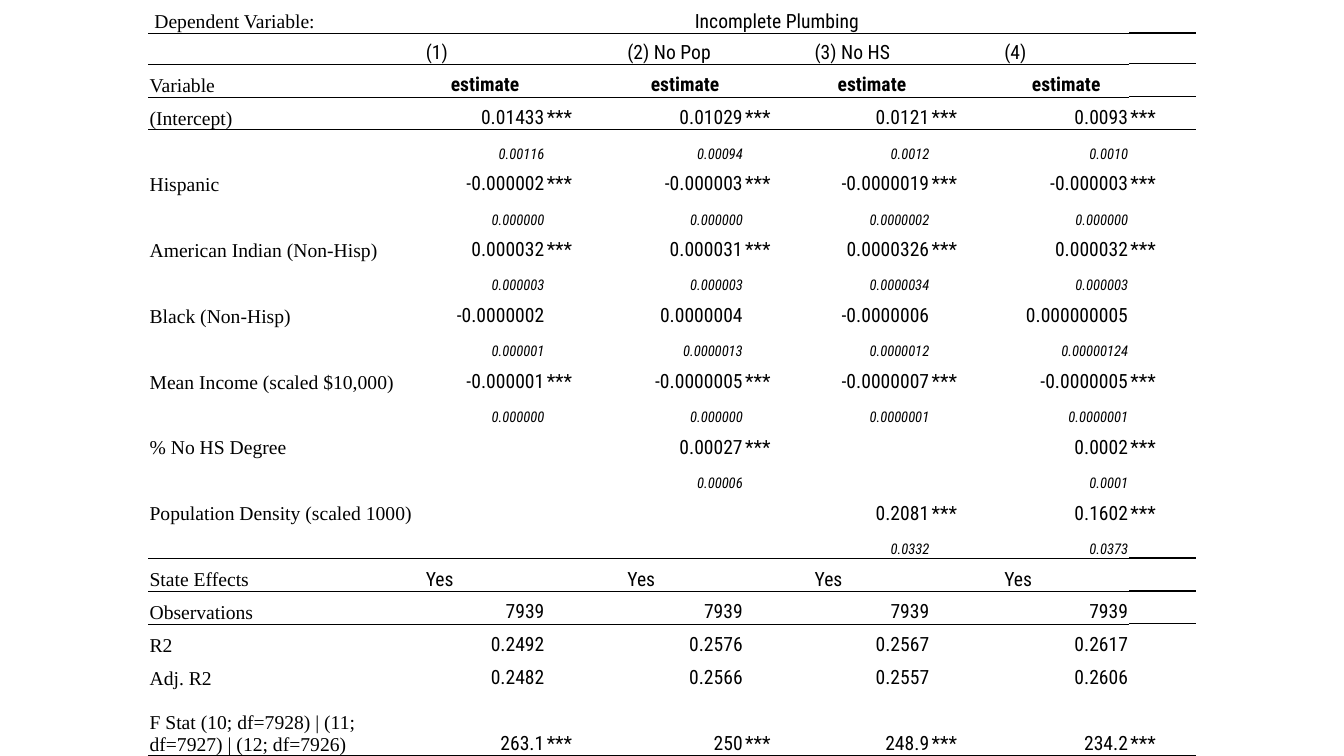
from lxml.etree import SubElement
from pptx import Presentation
from pptx.dml.color import RGBColor
from pptx.enum.text import MSO_ANCHOR, PP_ALIGN
from pptx.oxml.ns import qn
from pptx.util import Cm, Pt

BLACK = RGBColor(0x00, 0x00, 0x00)
SERIF, SANS = "Times New Roman", "Roboto Condensed"
NO_STYLE = "{2D5ABB26-0587-4C30-8999-92F81FD0307C}"
STARS = "***"

LABEL_WIDTH = 6.96
MODEL_WIDTHS = [(3.05, 2.03), (2.97, 1.75), (2.95, 1.83), (3.18, 1.68)]
ROW_HEIGHT, MODEL_ROW_HEIGHT, F_STAT_HEIGHT = 0.83, 0.78, 1.66

# Variable, estimates, standard errors, stars
coefficients = [
    ("(Intercept)", ["0.01433", "0.01029", "0.0121", "0.0093"],
     ["0.00116", "0.00094", "0.0012", "0.0010"], STARS),
    ("Hispanic", ["-0.000002", "-0.000003", "-0.0000019", "-0.000003"],
     ["0.000000", "0.000000", "0.0000002", "0.000000"], STARS),
    ("American Indian (Non-Hisp)", ["0.000032", "0.000031", "0.0000326", "0.000032"],
     ["0.000003", "0.000003", "0.0000034", "0.000003"], STARS),
    ("Black (Non-Hisp)", ["-0.0000002", "0.0000004", "-0.0000006", "0.000000005"],
     ["0.000001", "0.0000013", "0.0000012", "0.00000124"], ""),
    ("Mean Income (scaled $10,000)", ["-0.000001", "-0.0000005", "-0.0000007", "-0.0000005"],
     ["0.000000", "0.000000", "0.0000001", "0.0000001"], STARS),
    ("% No HS Degree", ["", "0.00027", "", "0.0002"], ["", "0.00006", "", "0.0001"], STARS),
    ("Population Density (scaled 1000)", ["", "", "0.2081", "0.1602"],
     ["", "", "0.0332", "0.0373"], STARS),
]

LEFT = {"align": PP_ALIGN.LEFT}
RIGHT = {"align": PP_ALIGN.RIGHT}
HEADING = {"align": PP_ALIGN.CENTER, "bold": True}
ERROR = {"align": PP_ALIGN.RIGHT, "size": 10.5, "italic": True}

# Label, one value per model, stars, format of the values
rows = [
    ("Dependent Variable:", ["Incomplete Plumbing", "", "", ""], "", {"align": PP_ALIGN.CENTER}),
    ("", ["(1)", "(2) No Pop", "(3) No HS", "(4)"], "", LEFT),
    ("Variable", ["estimate"] * 4, "", HEADING),
]
for variable, estimates, errors, stars in coefficients:
    rows.append((variable, estimates, stars, RIGHT))
    rows.append(("", errors, "", ERROR))
rows += [
    ("State Effects", ["Yes"] * 4, "", LEFT),
    ("Observations", ["7939"] * 4, "", RIGHT),
    ("R2", ["0.2492", "0.2576", "0.2567", "0.2617"], "", RIGHT),
    ("Adj. R2", ["0.2482", "0.2566", "0.2557", "0.2606"], "", RIGHT),
    ("F Stat (10; df=7928) | (11; df=7927) | (12; df=7926)",
     ["263.1", "250", "248.9", "234.2"], STARS, RIGHT),
]
last_row = len(rows) - 1
effects_row = 3 + 2 * len(coefficients)
ruled_rows = {0, 1, 2, effects_row - 1, effects_row, last_row}


def write(cell, text, font=SANS, size=14, bold=False, italic=False, align=PP_ALIGN.LEFT):
    cell.vertical_anchor = MSO_ANCHOR.BOTTOM
    cell.margin_left = cell.margin_right = cell.margin_top = Cm(0.03)
    cell.margin_bottom = 0
    paragraph = cell.text_frame.paragraphs[0]
    paragraph.alignment = align
    if not text:
        # Keeps an empty cell from stretching its row
        SubElement(paragraph._p, qn("a:endParaRPr"), sz=str(int(size * 100)))
        return
    run = paragraph.add_run()
    run.text = text
    run.font.name, run.font.size = font, Pt(size)
    run.font.bold, run.font.italic = bold, italic
    run.font.color.rgb = BLACK


def add_rule(cell, side, width):
    """Draw a border on one side, lnT or lnB, of a cell."""
    line = SubElement(cell._tc.get_or_add_tcPr(), qn(f"a:{side}"), w=str(Pt(width)))
    fill = SubElement(line, qn("a:solidFill"))
    SubElement(fill, qn("a:srgbClr"), val=str(BLACK))


presentation = Presentation()
presentation.slide_width, presentation.slide_height = Cm(33.87), Cm(19.05)
slide = presentation.slides.add_slide(presentation.slide_layouts[6])

widths = [LABEL_WIDTH] + [width for pair in MODEL_WIDTHS for width in pair]
heights = [ROW_HEIGHT] * len(rows)
heights[1], heights[last_row] = MODEL_ROW_HEIGHT, F_STAT_HEIGHT
regression = slide.shapes.add_table(
    len(rows), len(widths), Cm(3.74), 0, Cm(sum(widths)), Cm(sum(heights))).table
regression.first_row = regression.horz_banding = False
regression._tbl.tblPr.find(qn("a:tableStyleId")).text = NO_STYLE
for column, width in zip(regression.columns, widths):
    column.width = Cm(width)
for row, height in zip(regression.rows, heights):
    row.height = Cm(height)

for r, (label, values, stars, value_format) in enumerate(rows):
    write(regression.cell(r, 0), label, font=SERIF)
    for model, value in enumerate(values):
        write(regression.cell(r, 2 * model + 1), value, **value_format)
        write(regression.cell(r, 2 * model + 2), stars if value else "")
    for c in range(len(widths)):
        cell = regression.cell(r, c)
        rule_width = 1 if c == len(widths) - 1 else 0.5
        if r - 1 in ruled_rows:
            add_rule(cell, "lnT", rule_width)
        if r in ruled_rows:
            add_rule(cell, "lnB", rule_width)
        cell.fill.background()

regression.cell(0, 0).margin_left = Cm(0.15)
regression.cell(0, 1).merge(regression.cell(0, 7))

presentation.save("out.pptx")
